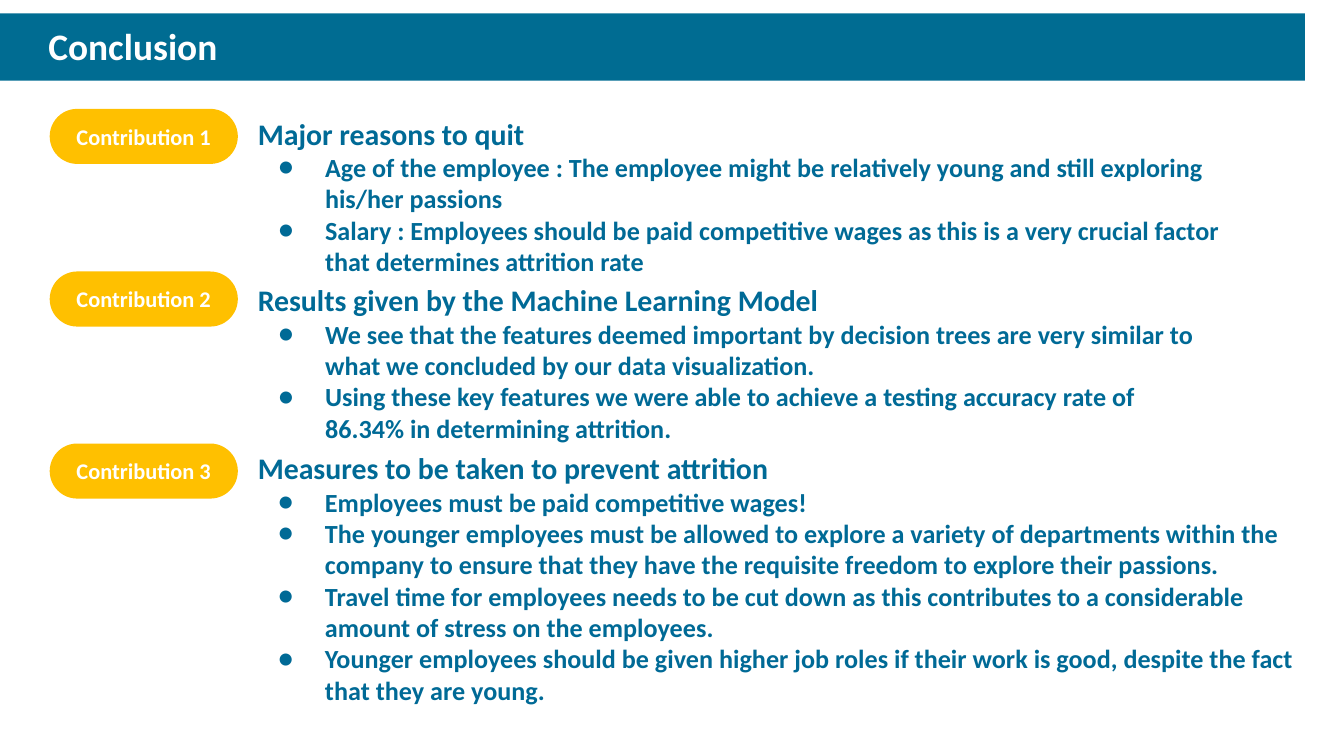
from lxml import etree
from pptx import Presentation
from pptx.dml.color import RGBColor
from pptx.enum.shapes import MSO_SHAPE
from pptx.enum.text import MSO_ANCHOR, PP_ALIGN
from pptx.oxml.ns import qn
from pptx.util import Inches, Pt

RECTANGLE, PILL = MSO_SHAPE.RECTANGLE, MSO_SHAPE.ROUNDED_RECTANGLE
TOP, MIDDLE = MSO_ANCHOR.TOP, MSO_ANCHOR.MIDDLE
LEFT, CENTER = PP_ALIGN.LEFT, PP_ALIGN.CENTER
TEAL = RGBColor(0x00, 0x6C, 0x92)
BLUE = RGBColor(0x00, 0x6A, 0x96)
GOLD = RGBColor(0xFF, 0xC0, 0x00)
WHITE = RGBColor(0xFF, 0xFF, 0xFF)
FONT = "Calibri"

TITLE = "Conclusion"
CONTRIBUTIONS = [
    {"label": "Contribution 1", "label_top": 0.81, "top": 0.81, "width": 7.39,
     "heading": "Major reasons to quit",
     "points": [
         "Age of the employee : The employee might be relatively young and still exploring his/her passions",
         "Salary : Employees should be paid competitive wages as this is a very crucial factor that determines attrition rate",
     ]},
    {"label": "Contribution 2", "label_top": 2.02, "top": 2.05, "width": 7.22,
     "heading": "Results given by the Machine Learning Model",
     "points": [
         "We see that the features deemed important by decision trees are very similar to what we concluded by our data visualization.",
         "Using these key features we were able to achieve a testing accuracy rate of 86.34% in determining attrition.",
     ]},
    {"label": "Contribution 3", "label_top": 3.3, "top": 3.3, "width": 7.96,
     "heading": "Measures to be taken to prevent attrition",
     "points": [
         "Employees must be paid competitive wages!",
         "The younger employees must be allowed to explore a variety of departments within the company to ensure that they have the requisite freedom to explore their passions.",
         "Travel time for employees needs to be cut down as this contributes to a considerable amount of stress on the employees.",
         "Younger employees should be given higher job roles if their work is good, despite the fact that they are young.",
     ]},
]
SLIDE_WIDTH = 10
SLIDE_HEIGHT = SLIDE_WIDTH * 9 / 16
INSETS = (0.1, 0.05, 0.1, 0.05)


def set_frame(frame, anchor, insets):
    left, top, right, bottom = map(Inches, insets)
    settings = {"word_wrap": True, "vertical_anchor": anchor,
                "margin_left": left, "margin_top": top,
                "margin_right": right, "margin_bottom": bottom}
    for name, value in settings.items():
        setattr(frame, name, value)


def write(paragraph, text, size, color, align=LEFT):
    paragraph.alignment = align
    run = paragraph.add_run()
    run.text = text
    for name, value in {"name": FONT, "size": Pt(size), "bold": True}.items():
        setattr(run.font, name, value)
    run.font.color.rgb = color


def add_bullet(paragraph):
    properties = paragraph._p.get_or_add_pPr()
    properties.set("marL", str(Inches(0.5)))
    properties.set("indent", str(Inches(-0.35)))
    bullet_color = etree.SubElement(properties, qn("a:buClr"))
    etree.SubElement(bullet_color, qn("a:srgbClr"), val=str(BLUE))
    etree.SubElement(properties, qn("a:buFont"), typeface=FONT)
    etree.SubElement(properties, qn("a:buChar"), char="●")


def add_block(slide, kind, box, fill, insets):
    block = slide.shapes.add_shape(kind, *map(Inches, box))
    block.shadow.inherit = False
    block.fill.solid()
    block.fill.fore_color.rgb = fill
    block.line.fill.background()
    set_frame(block.text_frame, MIDDLE, insets)
    return block


def add_contribution(slide, item):
    pill = add_block(slide, PILL, (0.37, item["label_top"], 1.4, 0.41), GOLD, INSETS)
    pill.adjustments[0] = 0.5
    write(pill.text_frame.paragraphs[0], item["label"], 12, WHITE, CENTER)

    box = (1.82, item["top"], item["width"], 0.4)
    frame = slide.shapes.add_textbox(*map(Inches, box)).text_frame
    set_frame(frame, TOP, INSETS)
    write(frame.paragraphs[0], item["heading"], 16, BLUE)
    for point in item["points"]:
        paragraph = frame.add_paragraph()
        write(paragraph, point, 14, BLUE)
        add_bullet(paragraph)


def main():
    deck = Presentation()
    deck.slide_width, deck.slide_height = Inches(SLIDE_WIDTH), Inches(SLIDE_HEIGHT)
    slide = deck.slides.add_slide(deck.slide_layouts[6])
    for item in CONTRIBUTIONS:
        add_contribution(slide, item)
    banner = add_block(slide, RECTANGLE, (-0.14, 0.1, 9.85, 0.5), TEAL, (0.5, 0, 0, 0))
    title = banner.text_frame.paragraphs[0]
    title.line_spacing = 0.97
    write(title, TITLE, 20, WHITE)
    deck.save("out.pptx")


if __name__ == "__main__":
    main()
